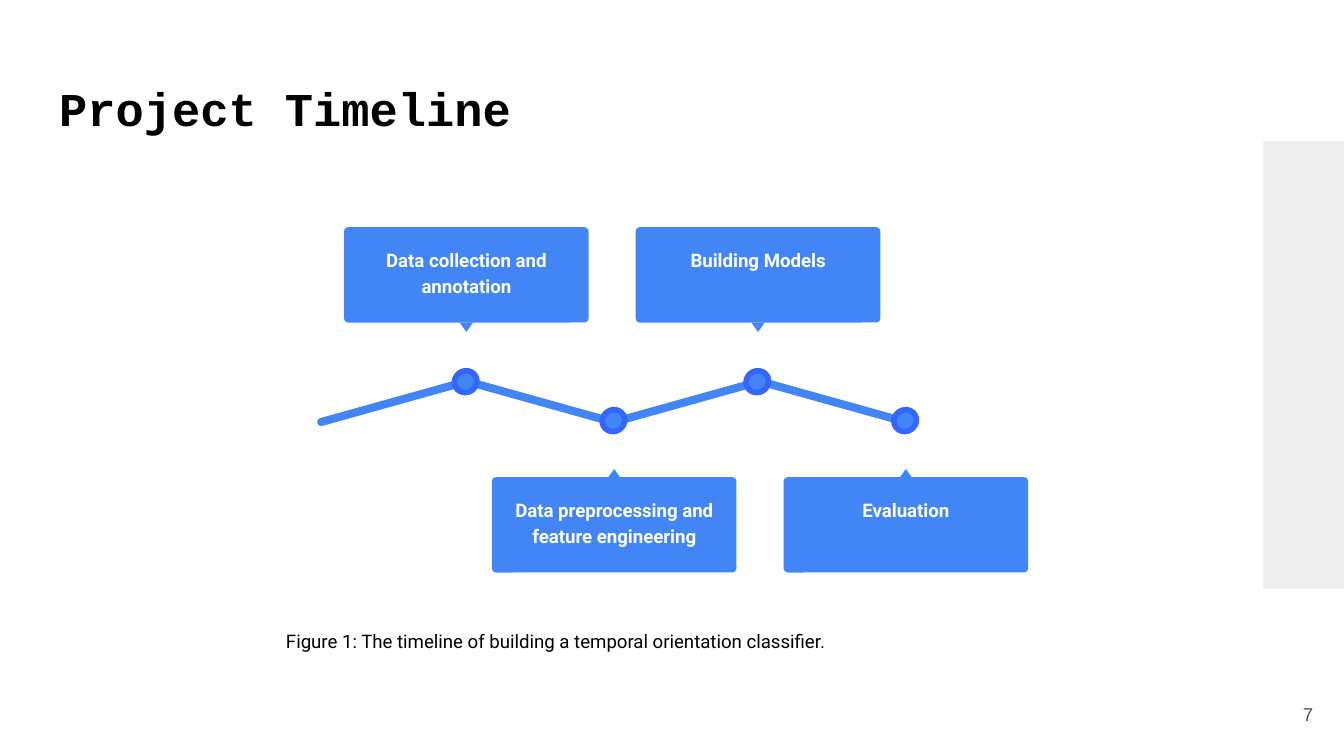
from pptx import Presentation
from pptx.dml.color import RGBColor
from pptx.enum.shapes import MSO_SHAPE
from pptx.enum.text import MSO_ANCHOR, MSO_AUTO_SIZE, PP_ALIGN
from pptx.util import Inches, Pt

RECT, ROUNDED = MSO_SHAPE.RECTANGLE, MSO_SHAPE.ROUNDED_RECTANGLE
OVAL, TRIANGLE = MSO_SHAPE.OVAL, MSO_SHAPE.ISOSCELES_TRIANGLE
TOP, MIDDLE = MSO_ANCHOR.TOP, MSO_ANCHOR.MIDDLE
LEFT, CENTER, RIGHT = PP_ALIGN.LEFT, PP_ALIGN.CENTER, PP_ALIGN.RIGHT

BLUE, RING, GREY = "4285F4", "3366FF", "EEEEEE"
CARD_W, CARD_H = 1.82, 0.71
LABEL_W, LABEL_H = 1.72, 0.63

# Label, centre x, whether the card is above the line
MILESTONES = [
    ("Data preprocessing and feature engineering", 4.57, False),
    ("Evaluation", 6.74, False),
    ("Data collection and annotation", 3.47, True),
    ("Building Models", 5.64, True),
]


def rgb(value):
    return RGBColor.from_string(value)


def set_text(s, text, size, font, color, align=LEFT, anchor=TOP, bold=False):
    tf = s.text_frame
    tf.text = text
    tf.word_wrap = True
    tf.auto_size = MSO_AUTO_SIZE.NONE
    tf.vertical_anchor = anchor
    tf.margin_left = tf.margin_right = Inches(0.1)
    tf.margin_top = tf.margin_bottom = Inches(0.1)
    p = tf.paragraphs[0]
    p.alignment = align
    r = p.runs[0]
    r.font.size = Pt(size)
    r.font.name = font
    r.font.bold = bold
    r.font.color.rgb = rgb(color)
    return p


def add_text(shapes, text, x, y, w, h, *style):
    s = shapes.add_textbox(Inches(x), Inches(y), Inches(w), Inches(h))
    set_text(s, text, *style)


def add_block(shapes, kind, x, y, w, h, fill=BLUE, rotation=0, radius=None):
    s = shapes.add_shape(kind, Inches(x), Inches(y), Inches(w), Inches(h))
    s.shadow.inherit = False
    s.fill.solid()
    s.fill.fore_color.rgb = rgb(fill)
    s.line.fill.background()
    s.rotation = rotation
    if radius is not None:
        s.adjustments[0] = radius
    return s


def add_title(slide, text):
    s = slide.shapes.title
    s.left, s.top, s.width, s.height = (Inches(v) for v in (0.34, 0.49, 9.32, 0.63))
    set_text(s, text, 25.2, "Courier New", "000000", bold=True)


def add_milestone(slide, label, cx, above):
    shapes = slide.shapes.add_group_shape().shapes
    card_y, pointer_y, dot_y = (1.69, 2.4, 2.76) if above else (3.55, 3.49, 3.05)

    # Dot on the line
    dot = add_block(shapes, OVAL, cx - 0.09, dot_y, 0.17, 0.16, rotation=330.2)
    dot.line.color.rgb = rgb(RING)
    dot.line.width = Pt(3)

    # Card with its pointer and label
    add_block(shapes, ROUNDED, cx - CARD_W / 2, card_y, CARD_W, CARD_H, radius=0.045)
    add_block(shapes, TRIANGLE, cx - 0.05, pointer_y, 0.1, 0.07,
              rotation=180 if above else 0)
    s = add_block(shapes, RECT, cx - LABEL_W / 2, card_y + 0.04, LABEL_W, LABEL_H)
    p = set_text(s, label, 10, "Roboto", "FFFFFF", CENTER, bold=True)
    p.line_spacing = 1.15
    p.space_after = Pt(16)


def main():
    # Widescreen 16:9
    prs = Presentation()
    prs.slide_width = Inches(10)
    prs.slide_height = prs.slide_width * 9 // 16
    slide = prs.slides.add_slide(prs.slide_layouts[5])

    # Title, page number and caption
    add_title(slide, "Project Timeline")
    add_text(slide.shapes, "7", 9.27, 5.1, 0.6, 0.43,
             10, "Arial", "595959", RIGHT, MIDDLE)
    add_text(slide.shapes,
             "Figure 1: The timeline of building a temporal orientation classifier.",
             2.03, 4.59, 5.93, 0.37, 10, "Roboto", "000000")

    # Panel at the right edge
    add_block(slide.shapes, RECT, 9.4, 1.05, 0.6, 3.33, GREY)

    # Zigzag line, rising and falling in turn
    for i in reversed(range(4)):
        add_block(slide.shapes, ROUNDED, 2.34 + 1.09 * i, 2.96, 1.18, 0.06,
                  rotation=15.6 if i % 2 else 344.4, radius=0.5)

    for label, cx, above in MILESTONES:
        add_milestone(slide, label, cx, above)

    prs.save("out.pptx")


if __name__ == "__main__":
    main()
